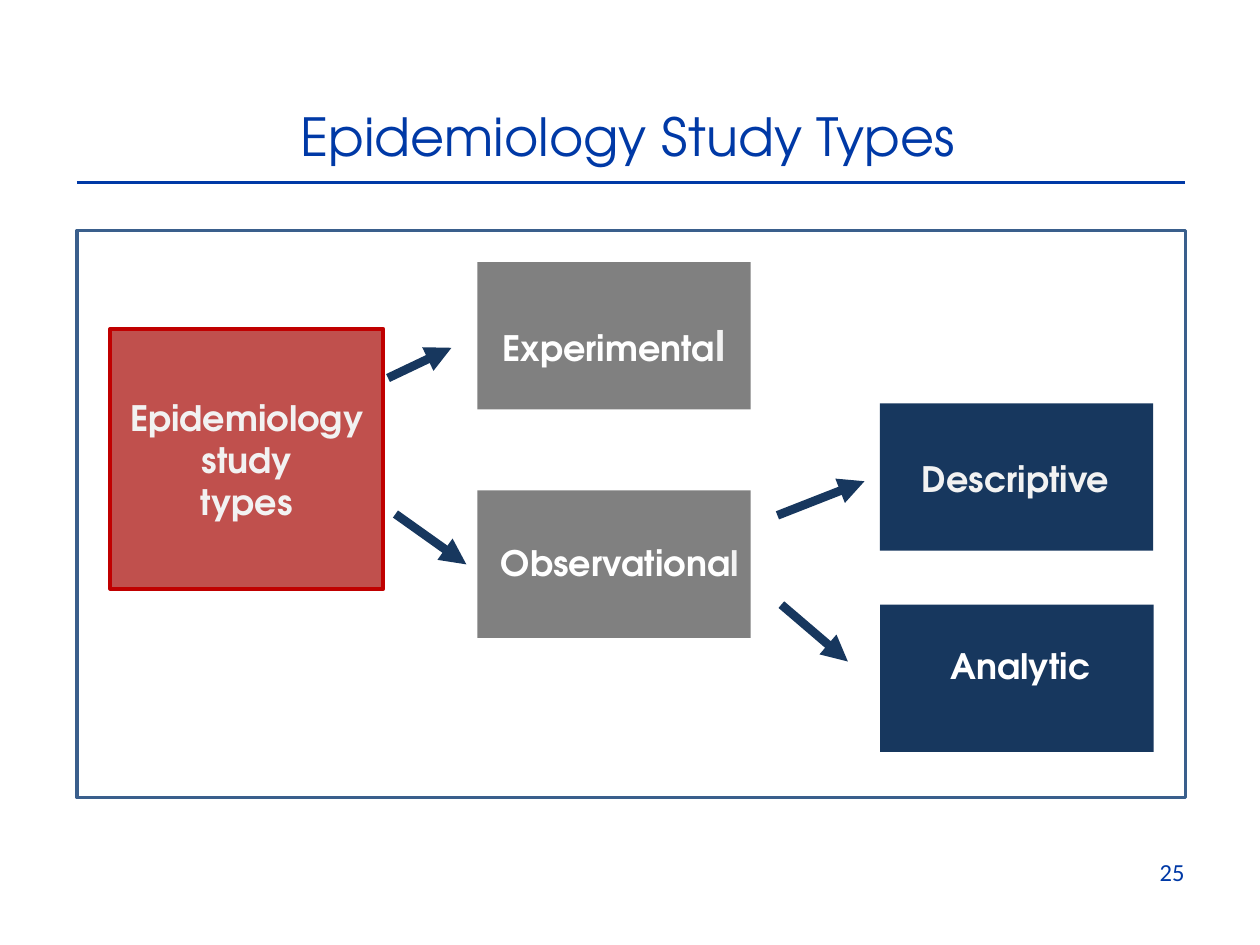
from dataclasses import dataclass

import pptx
from lxml import etree
from pptx.dml.color import RGBColor
from pptx.enum.shapes import MSO_CONNECTOR, MSO_SHAPE
from pptx.enum.text import MSO_ANCHOR, PP_ALIGN
from pptx.oxml.ns import qn
from pptx.util import Pt


@dataclass(frozen=True)
class Theme:
    font: str = "TeX Gyre Adventor"
    number_font: str = "Calibri"
    title_size: float = 30
    label_size: float = 20
    large_size: float = 24
    number_size: float = 14
    blue: str = "0039A6"
    frame: str = "3A5F8C"
    red: str = "C0504D"
    dark_red: str = "C00000"
    gray: str = "808080"
    navy: str = "17375E"
    white: str = "FFFFFF"
    off_white: str = "F2F2F2"


THEME = Theme()
BOX_SIZE = (156.25, 84.25)


def rgb(value):
    return RGBColor.from_string(value)


def add_run(p, text, color, size=THEME.label_size, font=THEME.font, bold=True):
    r = p.add_run()
    r.text = text
    r.font.name = font
    r.font.size = Pt(size)
    r.font.bold = bold
    r.font.color.rgb = rgb(color)


def add_box(s, left, top, width, height, fill, line=None, line_width=0):
    sp = s.shapes.add_shape(MSO_SHAPE.RECTANGLE, Pt(left), Pt(top), Pt(width), Pt(height))
    sp.shadow.inherit = False
    sp.fill.solid()
    sp.fill.fore_color.rgb = rgb(fill)
    if line:
        sp.line.color.rgb = rgb(line)
        sp.line.width = Pt(line_width)
    else:
        sp.line.fill.background()


def add_text(s, left, top, width, height, paragraphs, align=PP_ALIGN.CENTER):
    """Each paragraph is a list of argument tuples for add_run."""
    tf = s.shapes.add_textbox(Pt(left), Pt(top), Pt(width), Pt(height)).text_frame
    tf.word_wrap = True
    for i, runs in enumerate(paragraphs):
        p = tf.paragraphs[0] if i == 0 else tf.add_paragraph()
        p.alignment = align
        for run in runs:
            add_run(p, *run)


def add_line(s, start, end, color, width, arrow=False):
    points = [Pt(v) for v in (*start, *end)]
    line = s.shapes.add_connector(MSO_CONNECTOR.STRAIGHT, *points)
    line.line.color.rgb = rgb(color)
    line.line.width = Pt(width)
    if arrow:
        etree.SubElement(line.line._get_or_add_ln(), qn("a:tailEnd"), type="triangle")
    etree.SubElement(line._element.spPr, qn("a:effectLst"))


def set_title(s, text):
    sp = s.shapes.title
    sp.left, sp.top, sp.width, sp.height = Pt(36.5), Pt(56), Pt(644.5), Pt(44)
    tf = sp.text_frame
    tf.word_wrap = True
    tf.vertical_anchor = MSO_ANCHOR.TOP
    p = tf.paragraphs[0]
    p.alignment = PP_ALIGN.CENTER
    add_run(p, text, THEME.blue, THEME.title_size, bold=False)


def main():
    t = THEME
    prs = pptx.Presentation()
    prs.slide_width, prs.slide_height = Pt(720), Pt(540)
    s = prs.slides.add_slide(prs.slide_layouts[5])

    set_title(s, "Epidemiology Study Types")
    add_line(s, (44, 104.25), (677, 104.25), t.blue, 2)
    add_box(s, 44, 131.75, 633.5, 324, t.white, t.frame, 2)

    add_box(s, 63, 188, 156, 148.5, t.red, t.dark_red, 2.25)
    add_text(s, 64, 223.25, 154, 80, [
        [("Epidemiology study", t.off_white)],
        [("types", t.off_white)],
    ])

    # box left, box top, fill, label left, label top, runs
    study_types = [
        (272.75, 149.75, t.gray, 273.5, 179.25,
         [("Experimenta", t.white), ("l ", t.off_white, t.large_size)]),
        (272.75, 280.25, t.gray, 273.5, 306,
         [("Observationa", t.white), ("l", t.off_white)]),
        (502.75, 230.5, t.navy, 499.75, 257.75, [("Descriptive", t.off_white)]),
        (503, 345.5, t.navy, 502.5, 364.5, [("Analytic", t.white)]),
    ]
    for left, top, fill, label_left, label_top, runs in study_types:
        add_box(s, left, top, *BOX_SIZE, fill)
        add_text(s, label_left, label_top, 161.25, 31.5, [runs])

    arrows = [
        ((221.75, 216), (258, 198.75)),
        ((226, 293.75), (266.5, 322.5)),
        ((444.25, 294.5), (494, 275)),
        ((446.5, 345.5), (484.5, 378)),
    ]
    for start, end in arrows:
        add_line(s, start, end, t.navy, 5, arrow=True)

    add_text(s, 516.25, 486, 167.75, 28.75,
             [[("25", t.blue, t.number_size, t.number_font, False)]], PP_ALIGN.RIGHT)
    prs.save("out.pptx")


if __name__ == "__main__":
    main()
